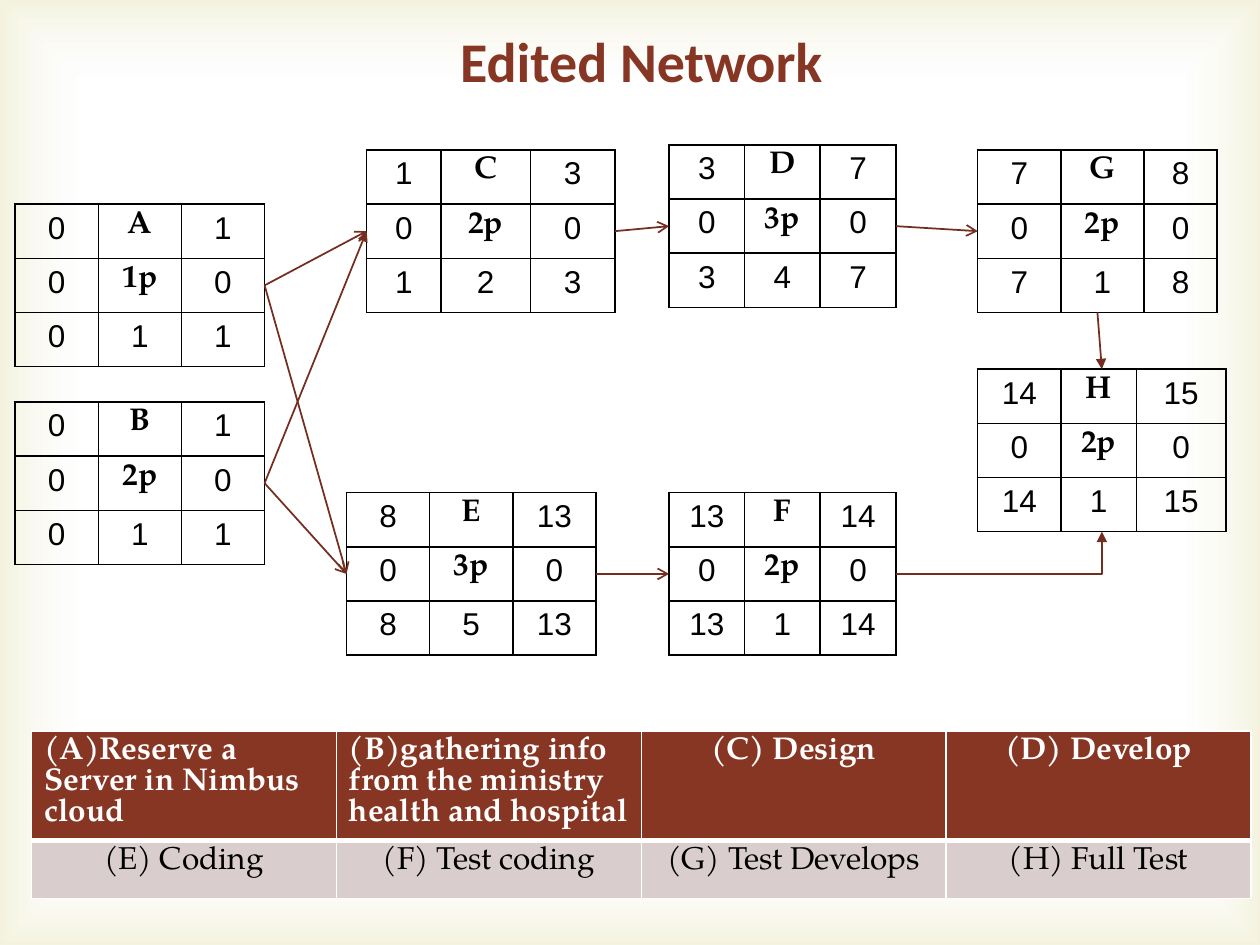
from lxml import etree
from pptx import Presentation
from pptx.dml.color import RGBColor
from pptx.enum.shapes import MSO_CONNECTOR, MSO_SHAPE
from pptx.enum.text import MSO_ANCHOR, PP_ALIGN
from pptx.oxml import parse_xml
from pptx.oxml.ns import nsdecls, qn
from pptx.util import Inches, Pt

LEFT, CENTER, RIGHT = PP_ALIGN.LEFT, PP_ALIGN.CENTER, PP_ALIGN.RIGHT
TOP = MSO_ANCHOR.TOP
RECT = MSO_SHAPE.RECTANGLE
STRAIGHT, ELBOW = MSO_CONNECTOR.STRAIGHT, MSO_CONNECTOR.ELBOW

COLORS = {"brand": "873624", "arrow": "742E1F", "band": "D9CECD",
          "ink": "000000", "paper": "FFFFFF", "glow": "D1CA75"}
ROW = 0.43


class Deck:
    head_font, body_font, digit_font = "Calibri", "TeX Gyre Pagella", "Arial"
    head_size, body_size = Pt(32), Pt(18)

    def __init__(self, slide):
        self.slide = slide
        self.shapes = slide.shapes

    def color(self, name):
        return RGBColor.from_string(COLORS[name])

    def glow(self, width, height):
        """Soft frame behind everything."""
        box = self.shapes.add_shape(RECT, 0, 0, width, height)
        box.shadow.inherit = False
        box.line.fill.background()
        stops = "".join(
            f'<a:gs pos="{pos}"><a:srgbClr val="{COLORS[name]}">'
            f'<a:alpha val="{alpha}"/></a:srgbClr></a:gs>'
            for pos, name, alpha in [(83000, "paper", 11000), (100000, "glow", 23000)])
        fill = parse_xml(
            f'<a:gradFill {nsdecls("a")} rotWithShape="1"><a:gsLst>{stops}</a:gsLst>'
            '<a:path path="rect"><a:fillToRect l="50000" t="50000" r="50000" b="50000"/>'
            '</a:path></a:gradFill>')
        box._element.spPr.find(qn("a:prstGeom")).addnext(fill)
        self.shapes._spTree.insert(2, box._element)

    def title(self, text, left, top, width, height):
        box = self.shapes.title
        box.left, box.top = Inches(left), Inches(top)
        box.width, box.height = Inches(width), Inches(height)
        frame = box.text_frame
        frame.text = text
        frame.vertical_anchor = TOP
        frame.word_wrap = False
        para = frame.paragraphs[0]
        para.alignment = RIGHT
        self.font(para, self.head_font, self.head_size, "brand", True)

    def font(self, para, name, size, color, bold):
        font = para.font
        font.name, font.size, font.bold = name, size, bold
        font.color.rgb = self.color(color)

    def border(self, cell, color, **widths):
        """Edge widths in points, keyed L, R, T, B."""
        props = cell._tc.get_or_add_tcPr()
        for place, side in enumerate("LRTB"):
            props.insert(place, parse_xml(
                f'<a:ln{side} {nsdecls("a")} w="{Pt(widths.get(side, 1))}"><a:solidFill>'
                f'<a:srgbClr val="{COLORS[color]}"/></a:solidFill></a:ln{side}>'))

    def grid(self, left, top, cols, rows):
        frame = self.shapes.add_table(len(rows), len(cols), Inches(left), Inches(top),
                                      Inches(sum(cols)), Inches(sum(rows)))
        table = frame.table
        table.first_row = table.horz_banding = False
        for col, width in zip(table.columns, cols):
            col.width = Inches(width)
        for row, height in zip(table.rows, rows):
            row.height = Inches(height)
        return frame

    def label(self, cell, text, align, color, bold):
        cell.text = text
        para = cell.text_frame.paragraphs[0]
        para.alignment = align
        self.font(para, self.body_font, self.body_size, color, bold)
        return para

    def node(self, left, top, cols, values):
        """A 3 by 3 activity box."""
        frame = self.grid(left, top, cols, [ROW] * 3)
        for i, text in enumerate(values.split()):
            cell = frame.table.cell(i // 3, i % 3)
            para = self.label(cell, text, CENTER, "ink", i in (1, 4))
            para._p.get_or_add_pPr().set("rtl", "1")
            run = para.runs[0]._r.get_or_add_rPr()
            etree.SubElement(run, qn("a:cs")).set("typeface", self.digit_font)
            cell.fill.background()
            self.border(cell, "ink")
        return frame

    def legend(self, left, top, cols, rows, texts):
        table = self.grid(left, top, cols, rows).table
        for r, line in enumerate(texts):
            head = r == 0
            for c, text in enumerate(line):
                cell = table.cell(r, c)
                align = LEFT if head and c < 2 else CENTER
                self.label(cell, text, align, "paper" if head else "ink", head)
                cell.fill.solid()
                cell.fill.fore_color.rgb = self.color("brand" if head else "band")
                self.border(cell, "paper", B=3 if head else 1, T=1 if head else 3)

    def side(self, box, name):
        """Middle of one side of a box."""
        x, y = {"top": (0.5, 0), "left": (0, 0.5),
                "bottom": (0.5, 1), "right": (1, 0.5)}[name]
        return int(box.left + x * box.width), int(box.top + y * box.height)

    def arrow(self, start, end, head, bent=False):
        line = self.shapes.add_connector(ELBOW if bent else STRAIGHT, *start, *end)
        line.line.color.rgb = self.color("arrow")
        line.line.width = Pt(1)
        props = line._element.spPr
        if bent:
            props.find(qn("a:prstGeom")).set("prst", "bentConnector2")
        etree.SubElement(props.find(qn("a:ln")), qn("a:tailEnd")).set("type", head)
        etree.SubElement(props, qn("a:effectLst"))


def main():
    prs = Presentation()
    prs.slide_width, prs.slide_height = Inches(10), Inches(7.5)
    deck = Deck(prs.slides.add_slide(prs.slide_layouts[5]))
    deck.glow(prs.slide_width, prs.slide_height)
    deck.title("Edited Network", 3.35, 0.16, 3.28, 0.64)

    # Activity boxes
    wide, slim = [0.66] * 3, [0.6] * 3
    specs = {
        "A": (0.12, 1.62, wide, "0 A 1 0 1p 0 0 1 1"),
        "B": (0.12, 3.19, wide, "0 B 1 0 2p 0 0 1 1"),
        "E": (2.75, 3.91, wide, "8 E 13 0 3p 0 8 5 13"),
        "D": (5.31, 1.15, slim, "3 D 7 0 3p 0 3 4 7"),
        "C": (2.91, 1.19, [0.59, 0.71, 0.67], "1 C 3 0 2p 0 1 2 3"),
        "H": (7.76, 2.93, [0.66, 0.6, 0.71], "14 H 15 0 2p 0 14 1 15"),
        "F": (5.31, 3.91, slim, "13 F 14 0 2p 0 13 1 14"),
        "G": (7.76, 1.19, [0.66, 0.66, 0.58], "7 G 8 0 2p 0 7 1 8"),
    }
    nodes = {key: deck.node(*spec) for key, spec in specs.items()}

    # Links between activities
    for pair in ("AC", "CD", "DG", "BE", "EF", "AE", "BC"):
        first, last = (nodes[key] for key in pair)
        deck.arrow(deck.side(first, "right"), deck.side(last, "left"),
                   "triangle" if pair == "BC" else "arrow")
    deck.arrow(deck.side(nodes["F"], "right"), deck.side(nodes["H"], "bottom"),
               "triangle", bent=True)
    deck.arrow(deck.side(nodes["G"], "bottom"), deck.side(nodes["H"], "top"), "triangle")

    # Activity names
    deck.legend(0.25, 5.8, [2.42] * 4, [0.87, 0.46], [
        ["(A)Reserve a Server in Nimbus cloud",
         "(B)gathering info from the ministry health and hospital",
         "(C) Design", "(D) Develop"],
        ["(E) Coding", "(F) Test coding", "(G) Test Develops", "(H) Full Test"],
    ])
    prs.save("out.pptx")


if __name__ == "__main__":
    main()
